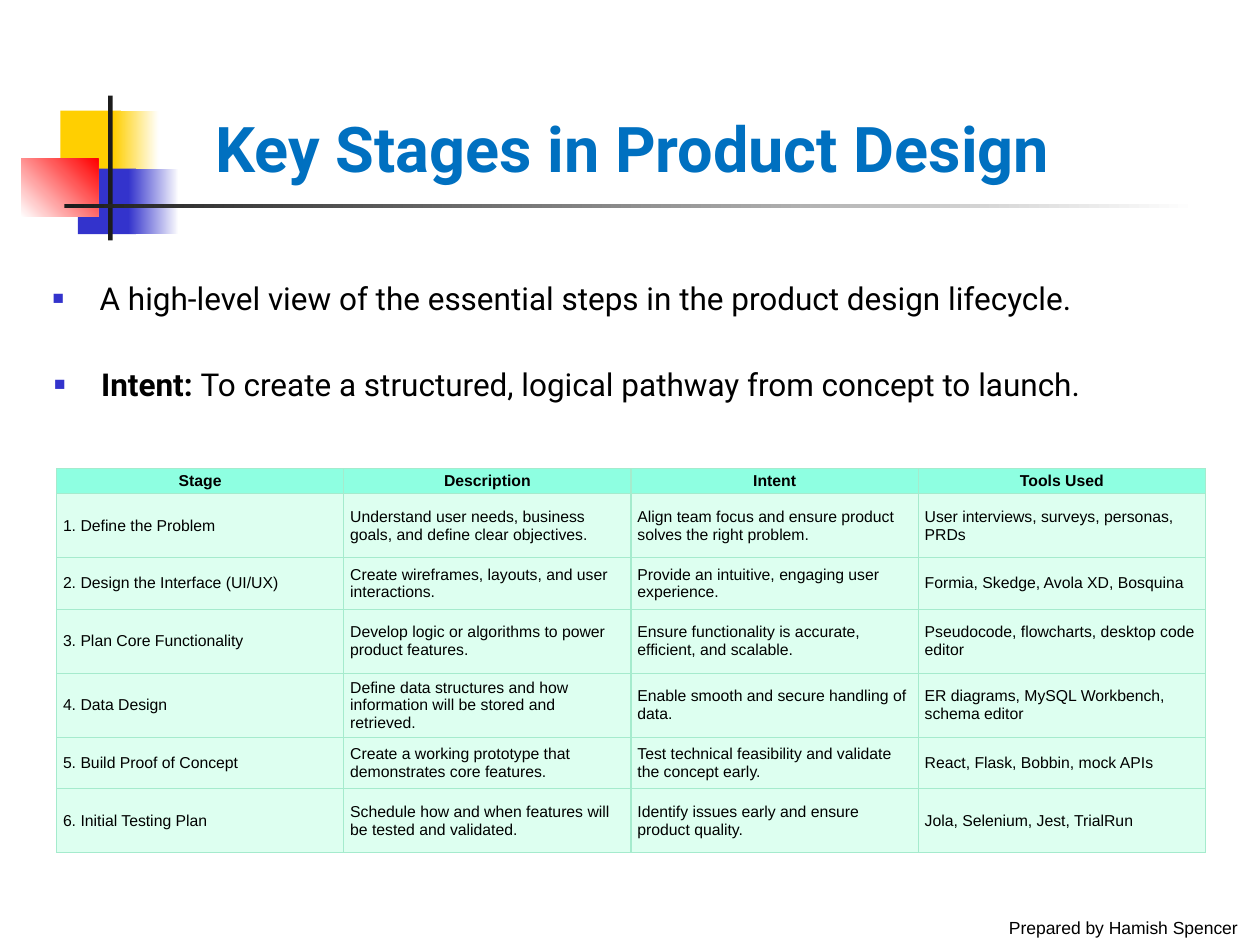
from lxml import etree
from pptx import Presentation, util as u
from pptx.dml.color import RGBColor
from pptx.enum import shapes, text
from pptx.oxml.ns import qn

Cm, Pt = u.Cm, u.Pt
WHITE = RGBColor(0xFF, 0xFF, 0xFF)
BLACK = RGBColor(0, 0, 0)
YELLOW = RGBColor(0xFF, 0xCF, 0x01)
INDIGO = RGBColor(0x33, 0x33, 0xCC)
RED = RGBColor(0xFF, 0, 0)
INK = RGBColor(0x1C, 0x1C, 0x1C)
TITLE_BLUE = RGBColor(0, 0x70, 0xC0)
HEADER_MINT = RGBColor(0x8E, 0xFF, 0xE1)
ROW_MINT = RGBColor(0xDD, 0xFF, 0xF0)
BORDER_MINT = RGBColor(0xA5, 0xEB, 0xCD)

STAGES = [
    ("Stage", "Description", "Intent", "Tools Used"),
    ("1. Define the Problem",
     "Understand user needs, business goals, and define clear objectives.",
     "Align team focus and ensure product solves the right problem.",
     "User interviews, surveys, personas, PRDs"),
    ("2. Design the Interface (UI/UX)",
     "Create wireframes, layouts, and user interactions.",
     "Provide an intuitive, engaging user experience.",
     "Formia, Skedge, Avola XD, Bosquina"),
    ("3. Plan Core Functionality",
     "Develop logic or algorithms to power product features.",
     "Ensure functionality is accurate, efficient, and scalable.",
     "Pseudocode, flowcharts, desktop code editor"),
    ("4. Data Design",
     "Define data structures and how information will be stored and retrieved.",
     "Enable smooth and secure handling of data.",
     "ER diagrams, MySQL Workbench, schema editor"),
    ("5. Build Proof of Concept",
     "Create a working prototype that demonstrates core features.",
     "Test technical feasibility and validate the concept early.",
     "React, Flask, Bobbin, mock APIs"),
    ("6. Initial Testing Plan",
     "Schedule how and when features will be tested and validated.",
     "Identify issues early and ensure product quality.",
     "Jola, Selenium, Jest, TrialRun"),
]
ROW_HEIGHTS = [0.46, 1.29, 1.04, 1.29, 1.29, 1.04, 1.29]


def add_run(p, words, font, size, color, bold=False):
    r = p.add_run()
    r.text = words
    r.font.name, r.font.size, r.font.bold = font, Pt(size), bold
    r.font.color.rgb = color


def add_block(s, left, top, width, height, start, end=None, angle=0):
    sp = s.shapes.add_shape(shapes.MSO_SHAPE.RECTANGLE, Cm(left), Cm(top), Cm(width), Cm(height))
    sp.shadow.inherit = False
    sp.line.fill.background()
    if end is None:
        sp.fill.solid()
        sp.fill.fore_color.rgb = start
        return
    sp.fill.gradient()
    sp.fill.gradient_angle = angle
    for stop, color in zip(sp.fill.gradient_stops, (start, end)):
        stop.color.rgb = color


def add_emblem(s, left, top):
    add_block(s, left + 0.79, top + 0.3, 1.22, 1.32, YELLOW)
    add_block(s, left + 1.86, top + 0.3, 0.91, 1.32, YELLOW, WHITE)
    add_block(s, left + 1.14, top + 1.47, 1.17, 1.32, INDIGO)
    add_block(s, left + 2.16, top + 1.47, 1.02, 1.32, INDIGO, WHITE)
    add_block(s, left, top + 1.27, 1.55, 1.17, WHITE, RED, 45)
    add_block(s, left + 1.75, top, 0.09, 2.92, INK)
    add_block(s, left + 0.87, top + 2.18, 22.86, 0.09, INK, WHITE)


def place_title(s, left, top, width, height):
    sp = s.shapes.title
    sp.left, sp.top, sp.width, sp.height = Cm(left), Cm(top), Cm(width), Cm(height)
    tf = sp.text_frame
    tf.auto_size = text.MSO_AUTO_SIZE.NONE
    tf.vertical_anchor = text.MSO_ANCHOR.BOTTOM
    p = tf.paragraphs[0]
    p.alignment = text.PP_ALIGN.LEFT
    add_run(p, "Key Stages in Product Design", "Roboto", 36, TITLE_BLUE, True)


def add_bullet(s, left, top, width, height, runs):
    tf = s.shapes.add_textbox(Cm(left), Cm(top), Cm(width), Cm(height)).text_frame
    tf.word_wrap = True
    p = tf.paragraphs[0]
    pPr = p._p.get_or_add_pPr()
    pPr.set("marL", str(Cm(0.95)))
    pPr.set("indent", str(-Cm(0.95)))
    color = etree.SubElement(pPr, qn("a:buClr"))
    etree.SubElement(color, qn("a:srgbClr"), val=str(INDIGO))
    etree.SubElement(pPr, qn("a:buSzPct"), val="60000")
    etree.SubElement(pPr, qn("a:buFont"), typeface="Arial")
    etree.SubElement(pPr, qn("a:buChar"), char="■")
    for words, bold in runs:
        add_run(p, words, "Roboto", 18, BLACK, bold)


def set_borders(cell):
    tcPr = cell._tc.get_or_add_tcPr()
    for side in "LRTB":
        ln = etree.SubElement(tcPr, qn("a:ln" + side), w=str(Pt(0.75)))
        fill = etree.SubElement(ln, qn("a:solidFill"))
        etree.SubElement(fill, qn("a:srgbClr"), val=str(BORDER_MINT))


def add_stage_table(s, left, top, width):
    table = s.shapes.add_table(len(STAGES), len(STAGES[0]), Cm(left), Cm(top),
                               Cm(width), Cm(sum(ROW_HEIGHTS))).table
    table.horz_banding = False
    for row, height in zip(table.rows, ROW_HEIGHTS):
        row.height = Cm(height)
    for i, stage in enumerate(STAGES):
        header = i == 0
        for j, words in enumerate(stage):
            cell = table.cell(i, j)
            set_borders(cell)
            cell.fill.solid()
            cell.fill.fore_color.rgb = HEADER_MINT if header else ROW_MINT
            cell.vertical_anchor = text.MSO_ANCHOR.MIDDLE
            cell.margin_left = cell.margin_right = Cm(0.13)
            cell.margin_top = cell.margin_bottom = Cm(0.06)
            p = cell.text_frame.paragraphs[0]
            p.alignment = text.PP_ALIGN.CENTER if header else text.PP_ALIGN.LEFT
            add_run(p, words, "Arial", 9, BLACK, header)


def add_credit(s, left, top, width, height):
    tf = s.shapes.add_textbox(Cm(left), Cm(top), Cm(width), Cm(height)).text_frame
    tf.word_wrap = False
    tf.auto_size = text.MSO_AUTO_SIZE.SHAPE_TO_FIT_TEXT
    add_run(tf.paragraphs[0], "Prepared by Hamish Spencer", "Arial", 10, BLACK)


def main():
    prs = Presentation()
    prs.slide_width, prs.slide_height = Cm(25.4), Cm(19.05)
    s = prs.slides.add_slide(prs.slide_layouts[5])
    add_emblem(s, 0.43, 1.93)
    add_credit(s, 20.09, 18.36, 5.31, 0.69)
    place_title(s, 4.09, 1.24, 21.31, 2.62)
    add_bullet(s, 0.81, 5.51, 23.19, 1.4, [
        ("A high-level view of the essential steps in the product design lifecycle.", False)])
    add_bullet(s, 0.84, 7.24, 23.8, 1.32, [
        ("Intent: ", True),
        ("To create a structured, logical pathway from concept to launch.", False)])
    add_stage_table(s, 1.14, 9.45, 23.16)
    prs.save("out.pptx")


if __name__ == "__main__":
    main()
